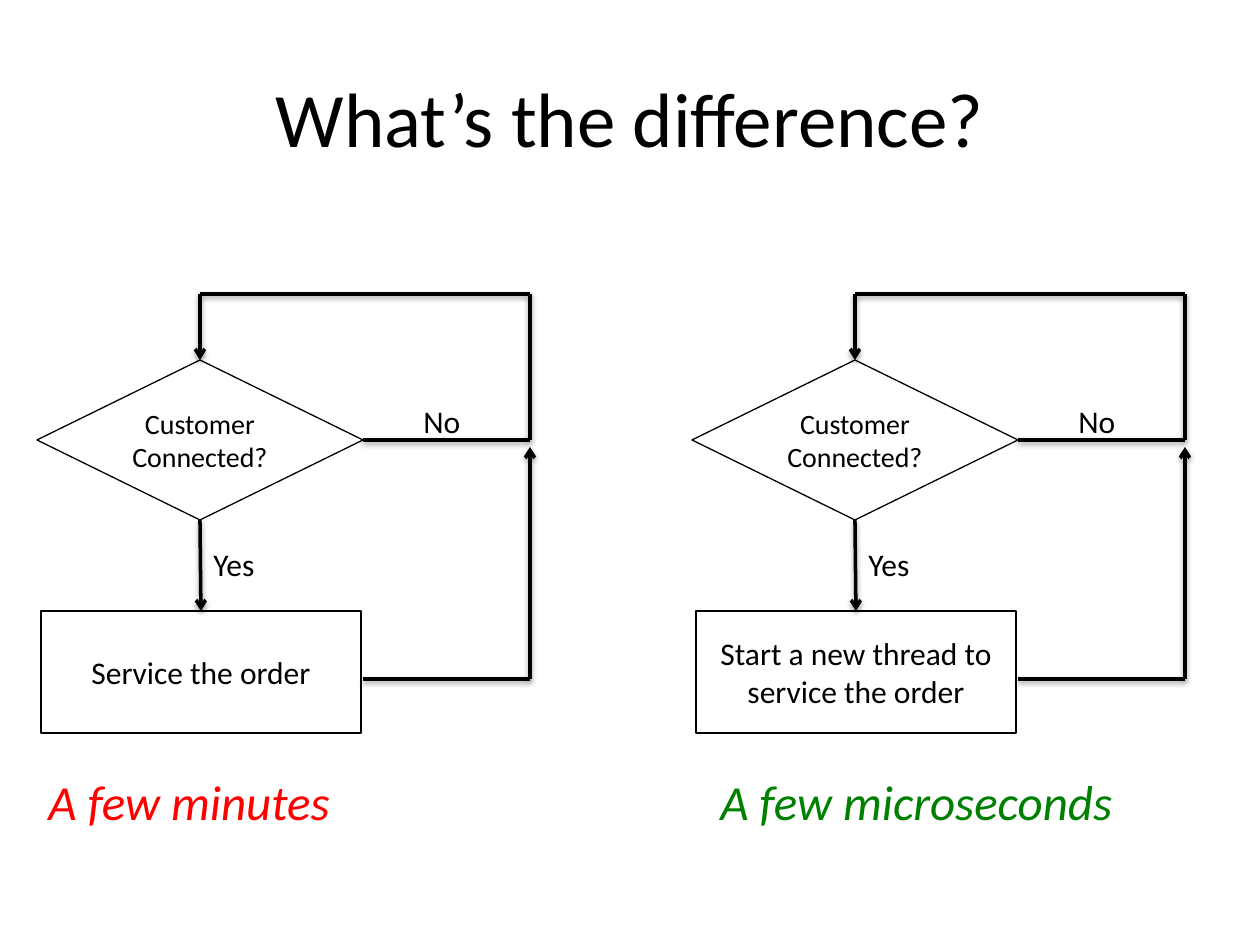
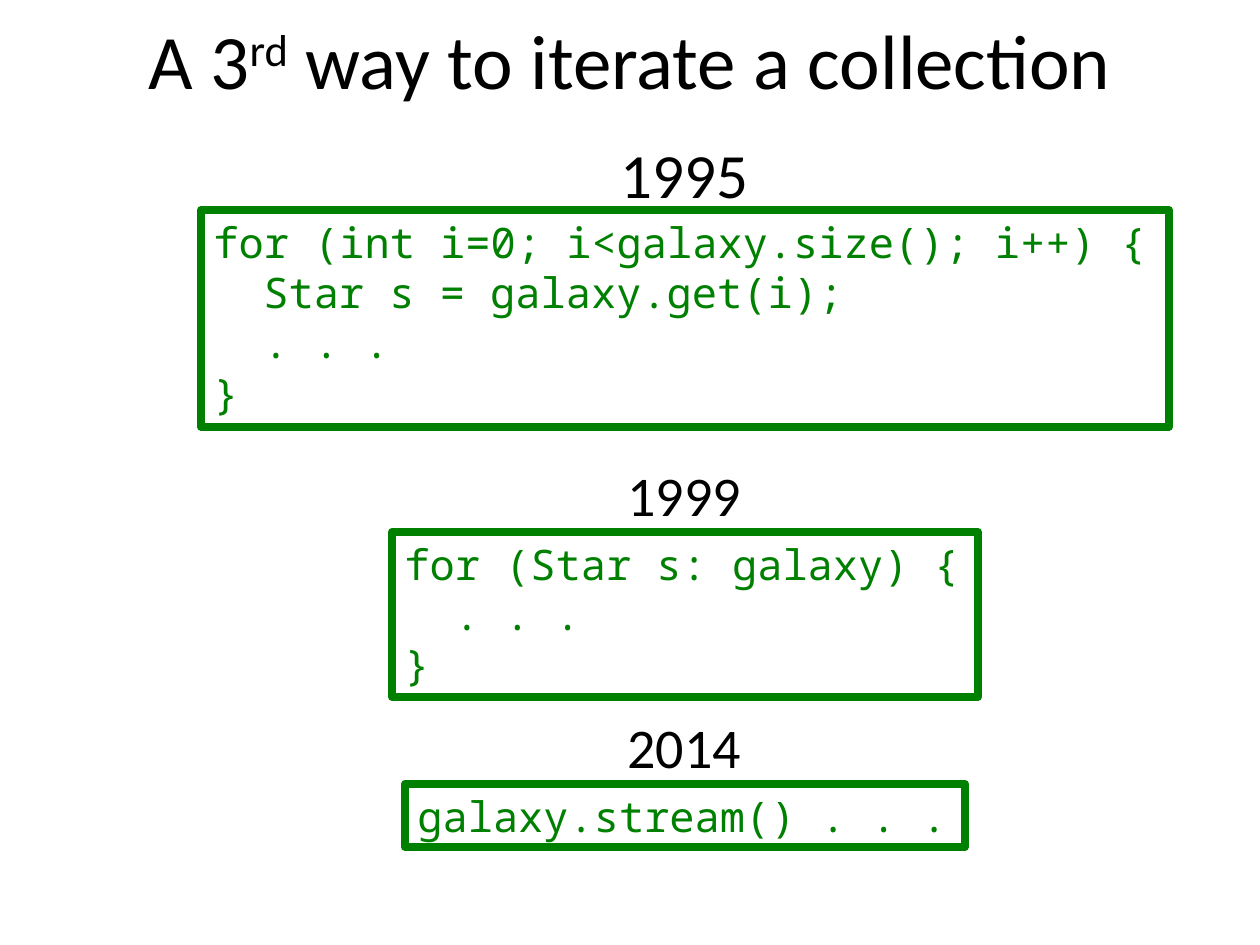
from lxml import etree
from pptx import Presentation
from pptx.dml.color import RGBColor
from pptx.enum.shapes import MSO_CONNECTOR, MSO_SHAPE
from pptx.enum.text import MSO_ANCHOR, MSO_AUTO_SIZE, PP_ALIGN
from pptx.oxml.ns import qn
from pptx.util import Emu, Pt

SCALE = 914400 / 126
COLORS = {"ink": "000000", "paper": "FFFFFF", "slow": "FF0000", "green": "008000"}
SANS, MONO = "Calibri", "Noto Sans Mono"
LEFT, CENTER = PP_ALIGN.LEFT, PP_ALIGN.CENTER
MIDDLE = MSO_ANCHOR.MIDDLE
FIT = MSO_AUTO_SIZE.SHAPE_TO_FIT_TEXT
DECISION, PROCESS = MSO_SHAPE.FLOWCHART_DECISION, MSO_SHAPE.FLOWCHART_PROCESS
STRAIGHT = MSO_CONNECTOR.STRAIGHT
TOP, BOTTOM, RIGHT = 0, 2, 3
CODE_INDENT = 50


def px(n):
    return Emu(round(n * SCALE))


def rgb(name):
    return RGBColor.from_string(COLORS[name])


class Deck:
    def __init__(self):
        self.prs = Presentation()
        self.prs.slide_width, self.prs.slide_height = px(1260), px(945)

    def slide(self, title, y):
        self.s = self.prs.slides.add_slide(self.prs.slide_layouts[5])
        self.shapes = self.s.shapes
        sp = self.s.shapes.title
        sp.left, sp.top, sp.width, sp.height = map(px, (63, y, 1134, 158))
        sp.text_frame.vertical_anchor = MIDDLE
        p = sp.text_frame.paragraphs[0]
        self.style(p, 44, align=CENTER)
        for text, baseline in title:
            r = p.add_run()
            r.text = text
            if baseline:
                r._r.get_or_add_rPr().set("baseline", str(baseline * 1000))

    def group(self):
        self.shapes = self.s.shapes.add_group_shape().shapes

    def ungroup(self):
        self.shapes = self.s.shapes

    def style(self, p, size, color="ink", font=SANS, align=LEFT, italic=None):
        p.alignment = align
        p.font.size, p.font.name, p.font.italic = Pt(size), font, italic
        p.font.color.rgb = rgb(color)

    def fill_text(self, tf, lines, size, **style):
        for i, line in enumerate(lines):
            p = tf.add_paragraph() if i else tf.paragraphs[0]
            p.text = line
            self.style(p, size, **style)

    def label(self, x, y, w, h, lines, size, **style):
        sp = self.shapes.add_textbox(*map(px, (x, y, w, h)))
        tf = sp.text_frame
        tf.word_wrap, tf.auto_size = False, FIT
        self.fill_text(tf, lines, size, **style)
        return sp

    def code(self, x, y, w, h, lines):
        sp = self.label(x, y, w, h, lines, 24, color="green", font=MONO)
        sp.line.color.rgb, sp.line.width = rgb("green"), Pt(4.5)
        for p in sp.text_frame.paragraphs[1:-1]:
            p._p.get_or_add_pPr().set("marL", str(px(CODE_INDENT)))

    def node(self, kind, x, y, w, h, lines, size):
        sp = self.shapes.add_shape(kind, *map(px, (x, y, w, h)))
        sp.shadow.inherit = False
        sp.fill.solid()
        sp.fill.fore_color.rgb = rgb("paper")
        sp.line.color.rgb, sp.line.width = rgb("ink"), Pt(0.75)
        sp.text_frame.word_wrap = True
        sp.text_frame.vertical_anchor = MIDDLE
        self.fill_text(sp.text_frame, lines, size, align=CENTER)
        return sp

    def line(self, x1, y1, x2, y2, arrow=False, begin=None, end=None):
        c = self.shapes.add_connector(STRAIGHT, *map(px, (x1, y1, x2, y2)))
        c.line.color.rgb, c.line.width = rgb("ink"), Pt(2)
        if arrow:
            ln = c._element.spPr.get_or_add_ln()
            etree.SubElement(ln, qn("a:tailEnd"), type="arrow")
        self.soft_shadow(c)
        if begin:
            c.begin_connect(*begin)
        if end:
            c.end_connect(*end)

    def soft_shadow(self, c):
        effects = etree.SubElement(c._element.spPr, qn("a:effectLst"))
        shadow = etree.SubElement(effects, qn("a:outerShdw"), blurRad="40000",
                                  dist="20000", dir="5400000", rotWithShape="0")
        color = etree.SubElement(shadow, qn("a:srgbClr"), val=COLORS["ink"])
        etree.SubElement(color, qn("a:alpha"), val="38000")


def flowchart(deck, x, action):
    mid, right, loop = x + 200, x + 363, x + 530
    deck.group()
    decision = deck.node(DECISION, x + 37, 360, 326, 160, ["Customer", "Connected?"], 16)
    process = deck.node(PROCESS, x + 41, 611, 320, 122, [action], 18)
    deck.line(right, 440, loop, 440, begin=(decision, RIGHT))
    deck.line(loop, 440, loop, 294)
    deck.line(mid, 294, loop, 294)
    deck.line(mid, 294, mid, 360, arrow=True, end=(decision, TOP))
    deck.line(mid, 520, mid, 611, arrow=True,
              begin=(decision, BOTTOM), end=(process, TOP))
    deck.line(right, 679, loop, 679)
    deck.line(loop, 679, loop, 447, arrow=True)
    deck.label(x + 411, 396, 63, 50, ["No"], 18)
    deck.label(x + 201, 539, 69, 50, ["Yes"], 18)
    deck.ungroup()


def difference_slide(deck):
    deck.slide([("What’s the difference?", 0)], 38)
    flowchart(deck, 0, "Service the order")
    flowchart(deck, 655, "Start a new thread to service the order")
    deck.label(36, 765, 324, 72, ["A few minutes"], 28, color="slow", italic=True)
    deck.label(708, 765, 436, 72, ["A few microseconds"], 28, color="green", italic=True)


def iteration_slide(deck):
    deck.slide([("A 3", 0), ("rd", 30), (" way to iterate a collection", 0)], -20)
    center = 685
    eras = [
        ("1995", 36, 129, 155, 89, 210, 968, 217,
         ["for (int i=0; i<galaxy.size(); i++) {", "Star s = galaxy.get(i);", ". . .", "}"]),
        ("1999", 32, 454, 140, 81, 532, 586, 165,
         ["for (Star s: galaxy) {", ". . .", "}"]),
        ("2014", 32, 706, 140, 81, 784, 560, 63, ["galaxy.stream() . . ."]),
    ]
    for year, size, year_y, year_w, year_h, y, w, h, lines in eras:
        deck.code(center - w // 2, y, w, h, lines)
        deck.label(center - year_w // 2, year_y, year_w, year_h, [year], size)


def main():
    deck = Deck()
    difference_slide(deck)
    iteration_slide(deck)
    deck.prs.save("out.pptx")


if __name__ == "__main__":
    main()
